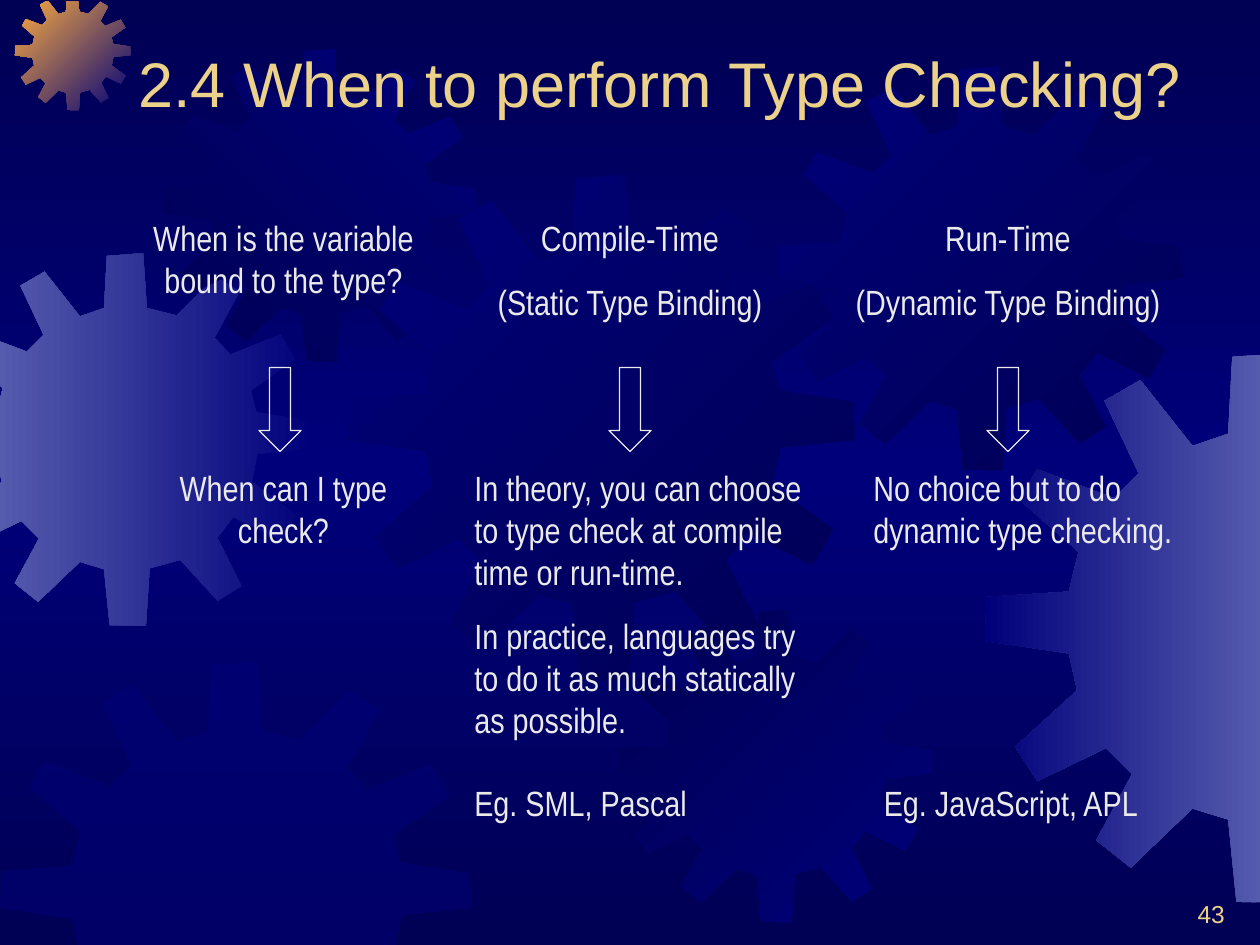
import copy

import lxml.etree
import pptx
import pptx.dml.color
import pptx.enum.shapes
import pptx.enum.text
import pptx.oxml.ns
import pptx.util

Pt = pptx.util.Pt
RGBColor = pptx.dml.color.RGBColor
ALIGN = pptx.enum.text.PP_ALIGN
ANCHOR = pptx.enum.text.MSO_ANCHOR
qn = pptx.oxml.ns.qn

NIGHT = RGBColor(0x00, 0x00, 0x54)
NAVY = RGBColor(0x00, 0x00, 0x7A)
LAVENDER = RGBColor(0x55, 0x5B, 0xAD)
ORANGE = RGBColor(0xFC, 0xAB, 0x40)
GOLD = RGBColor(0xEB, 0xD1, 0x89)
PALE = RGBColor(0xEA, 0xEA, 0xEA)

TITLE = "2.4 When to perform Type Checking?"
PAGE_NUMBER = "43"
HEADING_TOP, ARROW_TOP, ANSWER_TOP, EXAMPLE_TOP = 120, 210, 263, 443
ARROW_SIZE = (24, 48)

COLUMNS = [
    {
        "heading": (72, 180, ["When is the variable bound to the type?"]),
        "arrow_left": 148,
        "answer": (72, 180, ["When can I type check?"]),
        "answer_align": ALIGN.CENTER,
    },
    {
        "heading": (270, 180, ["Compile-Time", "(Static Type Binding)"]),
        "arrow_left": 348,
        "answer": (264, 216, [
            "In theory, you can choose to type check at compile time or run-time.",
            "In practice, languages try to do it as much statically as possible.",
        ]),
        "answer_align": ALIGN.LEFT,
        "example": (264, 216, ["Eg. SML, Pascal"]),
    },
    {
        "heading": (480, 192, ["Run-Time", "(Dynamic Type Binding)"]),
        "arrow_left": 564,
        "answer": (492, 216, ["No choice but to do dynamic type checking."]),
        "answer_align": ALIGN.LEFT,
        "example": (498, 216, ["Eg. JavaScript, APL"]),
    },
]

GEAR_SPAN = 401
GEAR_OUTLINE = [
    (255, 67), (223, 59), (219, 0), (180, 3), (177, 59), (151, 68), (113, 20),
    (87, 35), (112, 88), (94, 106), (38, 85), (25, 107), (68, 145), (61, 174),
    (1, 178), (0, 210), (61, 219), (67, 246), (22, 287), (38, 312), (88, 288),
    (107, 307), (81, 355), (106, 375), (151, 332), (177, 340), (183, 400),
    (222, 401), (226, 339), (259, 330), (299, 374), (325, 358), (299, 306),
    (316, 284), (368, 309), (384, 281), (336, 246), (342, 216), (401, 210),
    (400, 180), (341, 171), (335, 148), (383, 114), (367, 87), (313, 109),
    (296, 91), (323, 41), (297, 25),
]
GEAR_BOUNDS = [(0, -1, 1), (0, 721, -1), (1, 1, 1), (1, 543, -1)]
GEARS = [
    (-34.5, 144.7, 213, (NAVY, LAVENDER), 180),
    (8.6, -3, 66, (NAVY, ORANGE), 225),
    (93.6, 28, 178.6, (NAVY, NIGHT), 135),
    (199.4, 100, 289, (NIGHT, NAVY), 225),
    (0, 378, 269.3, (NAVY,), None),
    (353.5, 348.5, 178.6, (NAVY, NIGHT), 225),
    (445, 38.2, 230.6, (NIGHT, NAVY), 225),
    (563, 201.6, 314.6, (LAVENDER, NAVY), 180),
]


def clip(outline, axis, bound, side):
    kept = []
    for start, end in zip(outline[-1:] + outline[:-1], outline):
        start_in = (start[axis] - bound) * side >= 0
        end_in = (end[axis] - bound) * side >= 0
        if start_in != end_in:
            share = (bound - start[axis]) / (end[axis] - start[axis])
            kept.append(tuple(a + share * (b - a) for a, b in zip(start, end)))
        if end_in:
            kept.append(end)
    return kept


def paint_gradient(fill, colors, angle):
    fill.gradient()
    fill.gradient_angle = 360 - angle
    for stop, color in zip(fill.gradient_stops, colors):
        stop.color.rgb = color


def add_gear(slide, left, top, size, colors, angle):
    scale = size / GEAR_SPAN
    outline = [(left + x * scale, top + y * scale) for x, y in GEAR_OUTLINE]
    for bound in GEAR_BOUNDS:
        outline = clip(outline, *bound)
    points = [(Pt(x), Pt(y)) for x, y in outline]
    builder = slide.shapes.build_freeform(*points[0])
    builder.add_line_segments(points[1:], close=True)
    gear = builder.convert_to_shape()
    gear.shadow.inherit = False
    if angle is None:
        gear.fill.solid()
        gear.fill.fore_color.rgb = colors[0]
        tint = gear.element.spPr.find(".//" + qn("a:srgbClr"))
        lxml.etree.SubElement(tint, qn("a:alpha")).set("val", "50000")
    else:
        paint_gradient(gear.fill, colors, angle)
    gear.line.fill.background()


def add_text(slide, box, paragraphs, size, font, color, align=ALIGN.LEFT, anchor=ANCHOR.TOP):
    frame = slide.shapes.add_textbox(*map(Pt, box)).text_frame
    frame.word_wrap = True
    frame.vertical_anchor = anchor
    for index, words in enumerate(paragraphs):
        paragraph = frame.add_paragraph() if index else frame.paragraphs[0]
        paragraph.alignment = align
        if index:
            paragraph.space_before = Pt(12.5)
        run = paragraph.add_run()
        run.text = words
        run.font.size = Pt(size)
        run.font.name = font
        run.font.color.rgb = color


def add_entry(slide, entry, top, align):
    left, width, paragraphs = entry
    add_text(slide, (left, top, width, 32), paragraphs, 20, "Arial Narrow", PALE, align)


def add_down_arrow(slide, left):
    arrow = slide.shapes.add_shape(
        pptx.enum.shapes.MSO_SHAPE.DOWN_ARROW, Pt(left), Pt(ARROW_TOP), *map(Pt, ARROW_SIZE))
    arrow.shadow.inherit = False
    arrow.fill.background()
    arrow.line.color.rgb = PALE
    arrow.line.width = Pt(0.75)


def paint_background(slide):
    fill = slide.background.fill
    paint_gradient(fill, (NIGHT, NAVY), 90)
    fill.gradient_stops[1].position = 0.5
    stops = slide.element.find(".//" + qn("a:gsLst"))
    last = copy.deepcopy(stops[0])
    last.set("pos", "100000")
    stops.append(last)


def main():
    deck = pptx.Presentation()
    deck.slide_width, deck.slide_height = Pt(720), Pt(540)
    slide = deck.slides.add_slide(deck.slide_layouts[6])
    paint_background(slide)
    for gear in GEARS:
        add_gear(slide, *gear)
    add_text(slide, (72, 12, 636, 60), [TITLE], 36, "Arial", GOLD, anchor=ANCHOR.BOTTOM)
    for column in COLUMNS:
        add_entry(slide, column["heading"], HEADING_TOP, ALIGN.CENTER)
        add_down_arrow(slide, column["arrow_left"])
        add_entry(slide, column["answer"], ANSWER_TOP, column["answer_align"])
        if "example" in column:
            add_entry(slide, column["example"], EXAMPLE_TOP, ALIGN.LEFT)
    add_text(slide, (557, 510, 150, 24), [PAGE_NUMBER], 14, "Arial", GOLD,
             ALIGN.RIGHT, ANCHOR.BOTTOM)
    deck.save("out.pptx")


if __name__ == "__main__":
    main()
